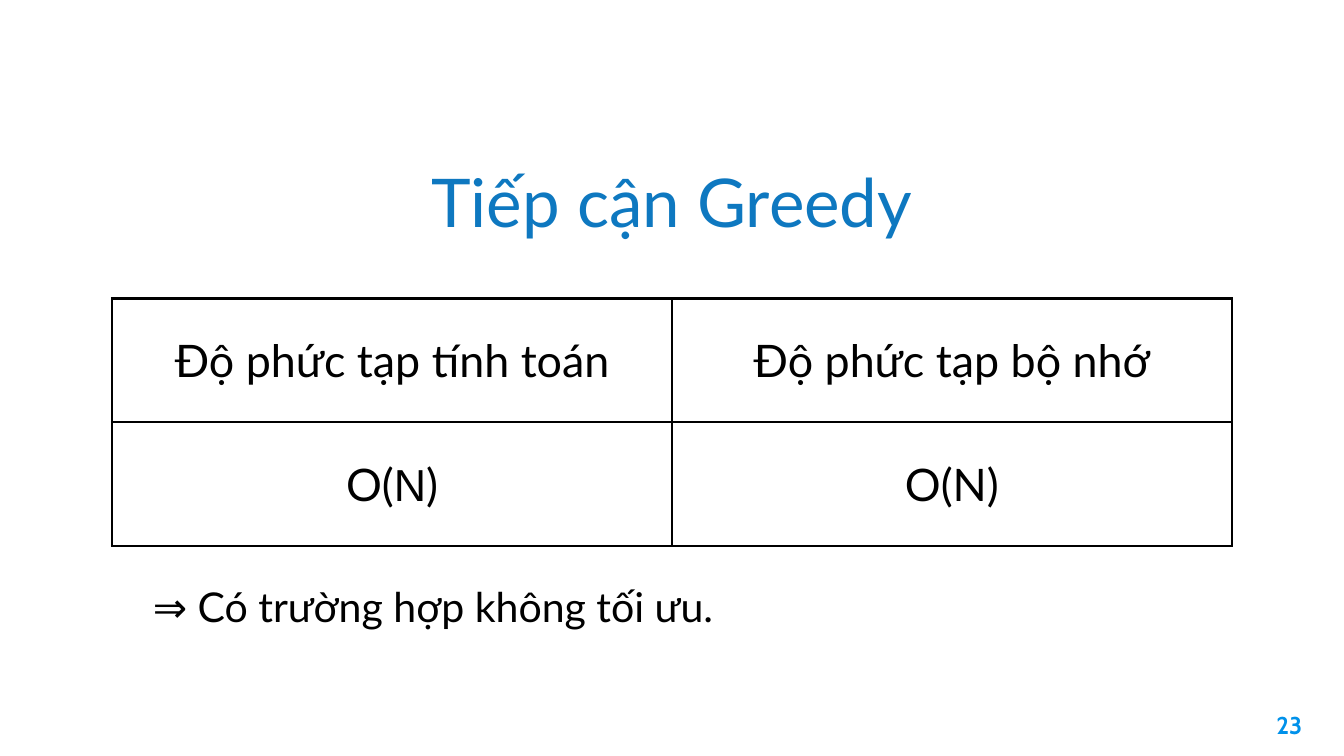
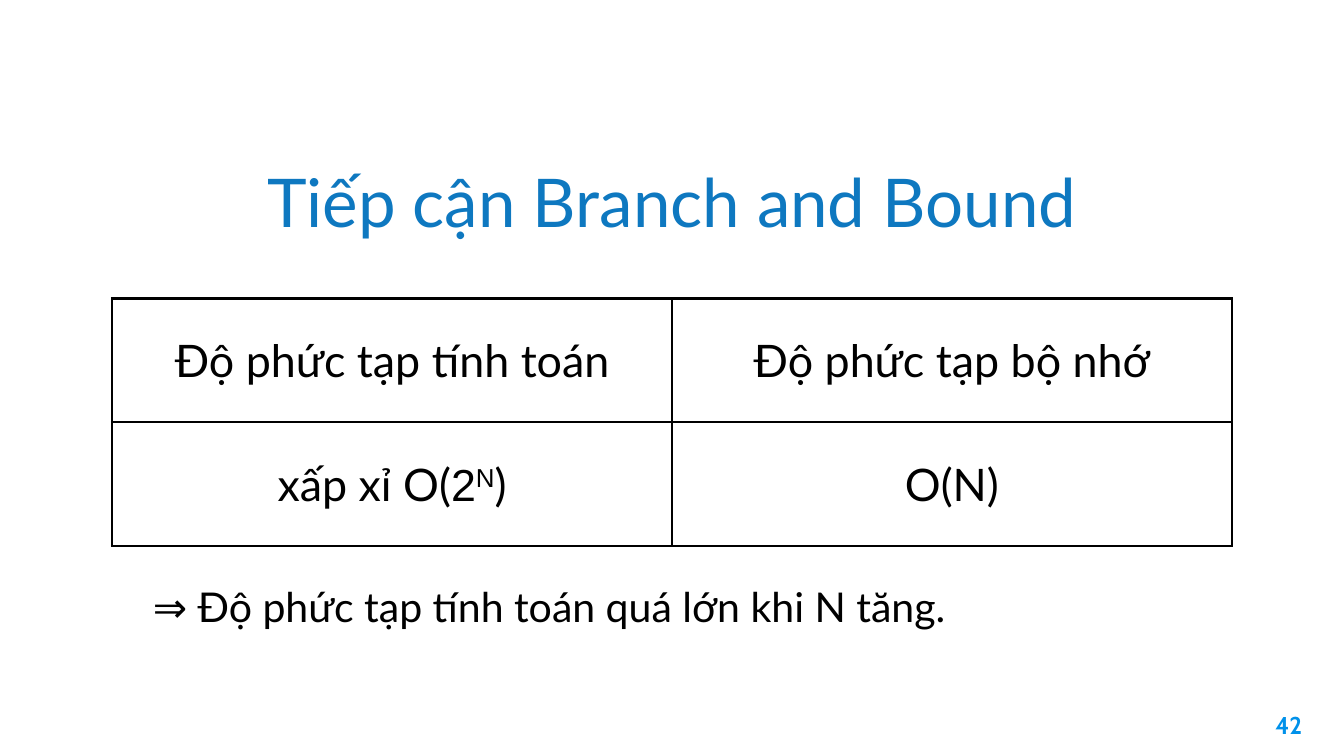
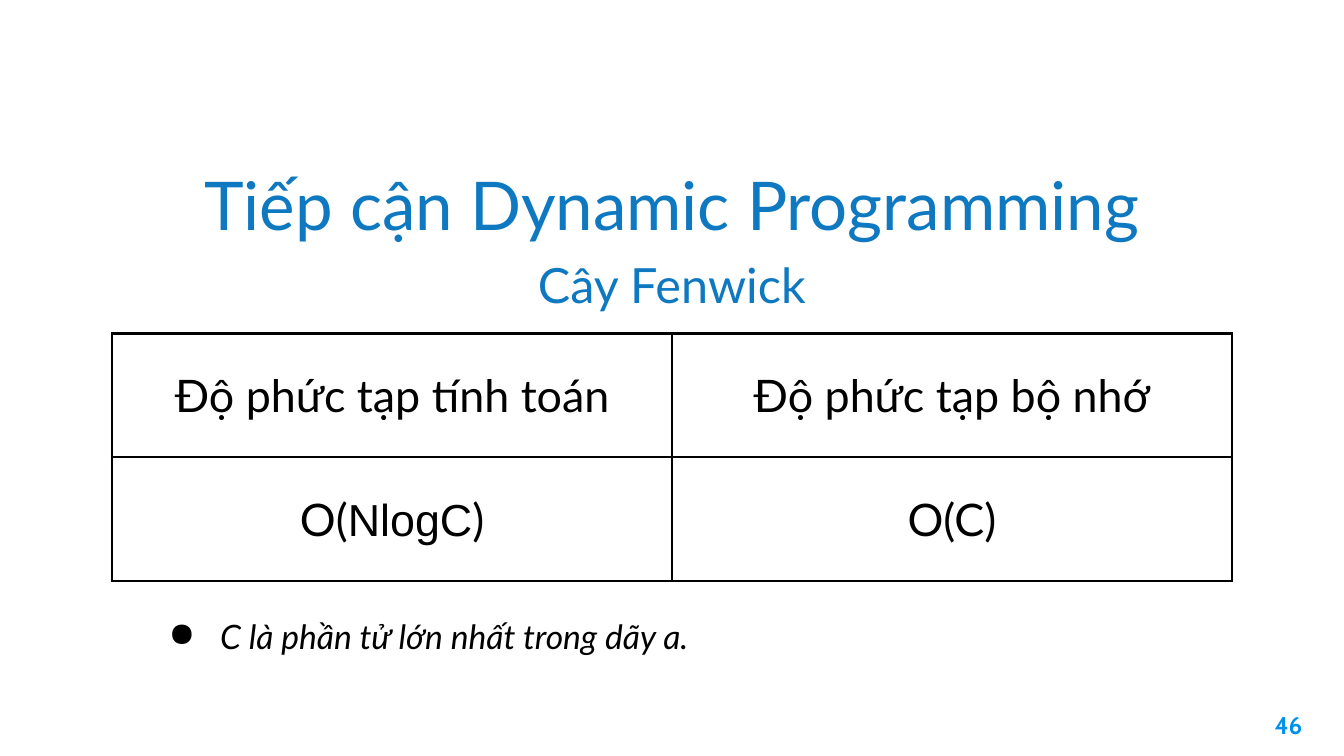
"""Build three slides that compare the complexity of algorithm approaches."""
import pptx
import pptx.dml.color
import pptx.enum.text
import pptx.oxml
import pptx.oxml.ns
import pptx.util

Cm = pptx.util.Cm
Align = pptx.enum.text.PP_ALIGN

SLIDE_WIDTH, SLIDE_HEIGHT = 25.4, 14.29
INSET = 0.25
BLACK = "000000"
TITLE_BLUE = "0E78C0"
NUMBER_BLUE = "0091EA"

TITLE = {"name": "Lato", "size": 36, "color": TITLE_BLUE}
SUBTITLE = {**TITLE, "size": 26}
CELL = {"name": "Lato", "size": 24, "color": BLACK}
CELL_ARIAL = {**CELL, "name": "Arial"}
CELL_POWER = {**CELL_ARIAL, "baseline": 30000}
NOTE = {**CELL, "size": 22}
BULLET_NOTE = {**CELL, "size": 18, "italic": True}
NUMBER = {"name": "Cabin", "size": 13, "color": NUMBER_BLUE, "bold": True}

HEADERS = ("Độ phức tạp tính toán", "Độ phức tạp bộ nhớ")
TABLE_LEFT, COLUMN_WIDTH, ROW_HEIGHT = 2.12, 10.58, 2.34
BORDER_POINTS = 1.5
NOTE_GAP = 5.1


def rgb(value):
    """Turn a hex string into a colour."""
    return pptx.dml.color.RGBColor.from_string(value)


def format_span(span, style):
    """Apply a dict of format values to one run."""
    for key, value in style.items():
        if key == "color":
            span.font.color.rgb = rgb(value)
        elif key == "size":
            span.font.size = pptx.util.Pt(value)
        elif key == "baseline":
            span._r.get_or_add_rPr().set("baseline", str(value))
        else:
            setattr(span.font, key, value)


def write_spans(para, spans, align):
    """Fill a paragraph with (text, style) pairs."""
    para.alignment = align
    for text, style in spans:
        span = para.add_run()
        span.text = text
        format_span(span, style)


def set_margins(target):
    """Give a text frame or a cell the shared inset."""
    for side in ("left", "right", "top", "bottom"):
        setattr(target, f"margin_{side}", Cm(INSET))


def add_text(page, left, top, width, height, text, style, align=Align.LEFT):
    """Add a wrapped text box and return its paragraph."""
    box = page.shapes.add_textbox(Cm(left), Cm(top), Cm(width), Cm(height))
    box.text_frame.word_wrap = True
    set_margins(box.text_frame)
    para = box.text_frame.paragraphs[0]
    write_spans(para, [(text, style)], align)
    return para


def add_centered(page, top, width, height, text, style):
    """Add a text box centred on the slide."""
    left = (SLIDE_WIDTH - width) / 2
    add_text(page, left, top, width, height, text, style, Align.CENTER)


def add_bullet(para):
    """Give a paragraph a round black bullet and a hanging indent."""
    props = para._p.get_or_add_pPr()
    props.set("marL", str(Cm(1.27)))
    props.set("indent", str(Cm(-0.97)))
    space = pptx.oxml.ns.nsdecls("a")
    for xml in (
        f'<a:buClr {space}><a:srgbClr val="{BLACK}"/></a:buClr>',
        f'<a:buChar {space} char="●"/>',
    ):
        props.append(pptx.oxml.parse_xml(xml))


def add_borders(cell):
    """Draw a black line on each side of a cell."""
    width = pptx.util.Pt(BORDER_POINTS)
    space = pptx.oxml.ns.nsdecls("a")
    for side in "LRTB":
        cell._tc.get_or_add_tcPr().append(pptx.oxml.parse_xml(
            f'<a:ln{side} {space} w="{width}"><a:solidFill>'
            f'<a:srgbClr val="{BLACK}"/></a:solidFill></a:ln{side}>'))


def add_complexity_table(page, top, time_spans, memory):
    """Add the table of time and memory complexity."""
    rows = [[[(header, CELL)] for header in HEADERS],
            [time_spans, [(memory, CELL)]]]
    table = page.shapes.add_table(
        len(rows), len(HEADERS), Cm(TABLE_LEFT), Cm(top),
        Cm(COLUMN_WIDTH * len(HEADERS)), Cm(ROW_HEIGHT * len(rows))).table
    table.first_row = table.horz_banding = False
    for row_index, row in enumerate(rows):
        for column_index, spans in enumerate(row):
            cell = table.cell(row_index, column_index)
            add_borders(cell)
            cell.fill.background()
            set_margins(cell)
            cell.vertical_anchor = pptx.enum.text.MSO_ANCHOR.MIDDLE
            write_spans(cell.text_frame.paragraphs[0], spans, Align.CENTER)


def add_page(deck, number, title, title_width, time_spans, memory, note,
             note_style=NOTE, title_top=2.79, table_top=5.64):
    """Add a slide with number, title, table and note; return slide and note."""
    page = deck.slides.add_slide(deck.slide_layouts[6])
    add_text(page, 23.34, 13.18, 1.52, 1.09, str(number), NUMBER, Align.RIGHT)
    add_complexity_table(page, table_top, time_spans, memory)
    add_centered(page, title_top, title_width, 2.18, title, TITLE)
    para = add_text(page, 2.64, table_top + NOTE_GAP, 18.47, 2.03,
                    note, note_style)
    return page, para


def main():
    """Build and save the deck."""
    deck = pptx.Presentation()
    deck.slide_width, deck.slide_height = Cm(SLIDE_WIDTH), Cm(SLIDE_HEIGHT)

    add_page(deck, 23, "Tiếp cận Greedy", 15.27,
             [("O(", CELL), ("N", CELL_ARIAL), (")", CELL)], "O(N)",
             "⇒ Có trường hợp không tối ưu.")

    add_page(deck, 42, "Tiếp cận Branch and Bound", 17.12,
             [("xấp xỉ O(", CELL), ("2", CELL_ARIAL),
              ("N", CELL_POWER), (")", CELL)], "O(N)",
             "⇒ Độ phức tạp tính toán quá lớn khi N tăng.")

    page, note = add_page(
        deck, 46, "Tiếp cận Dynamic Programming", 20.47,
        [("O(", CELL), ("NlogC", CELL_ARIAL), (")", CELL)], "O(C)",
        "C là phần tử lớn nhất trong dãy a.", BULLET_NOTE,
        title_top=2.84, table_top=6.3)
    add_bullet(note)
    add_centered(page, 4.57, 11.07, 1.63, "Cây Fenwick", SUBTITLE)

    deck.save("out.pptx")


if __name__ == "__main__":
    main()
